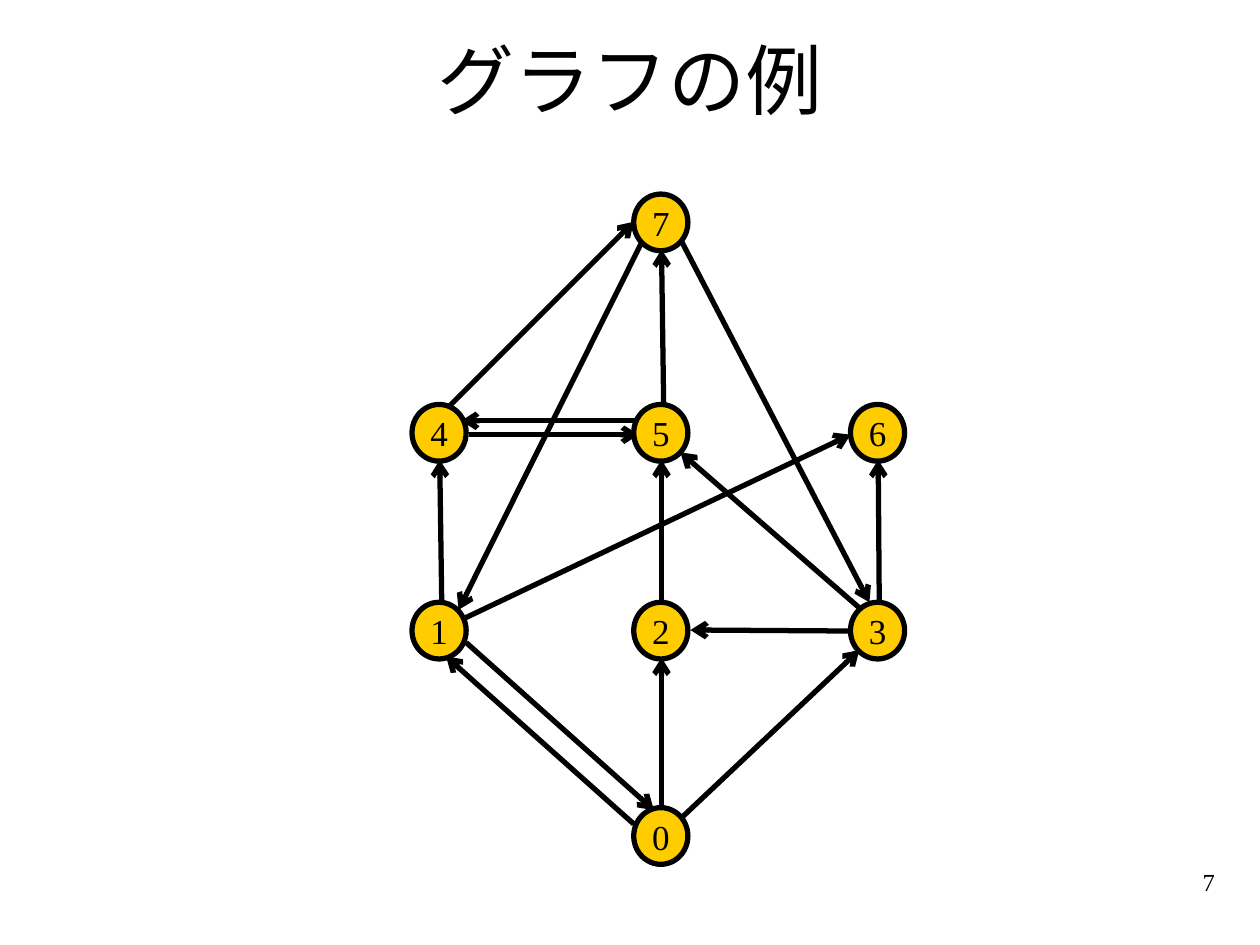
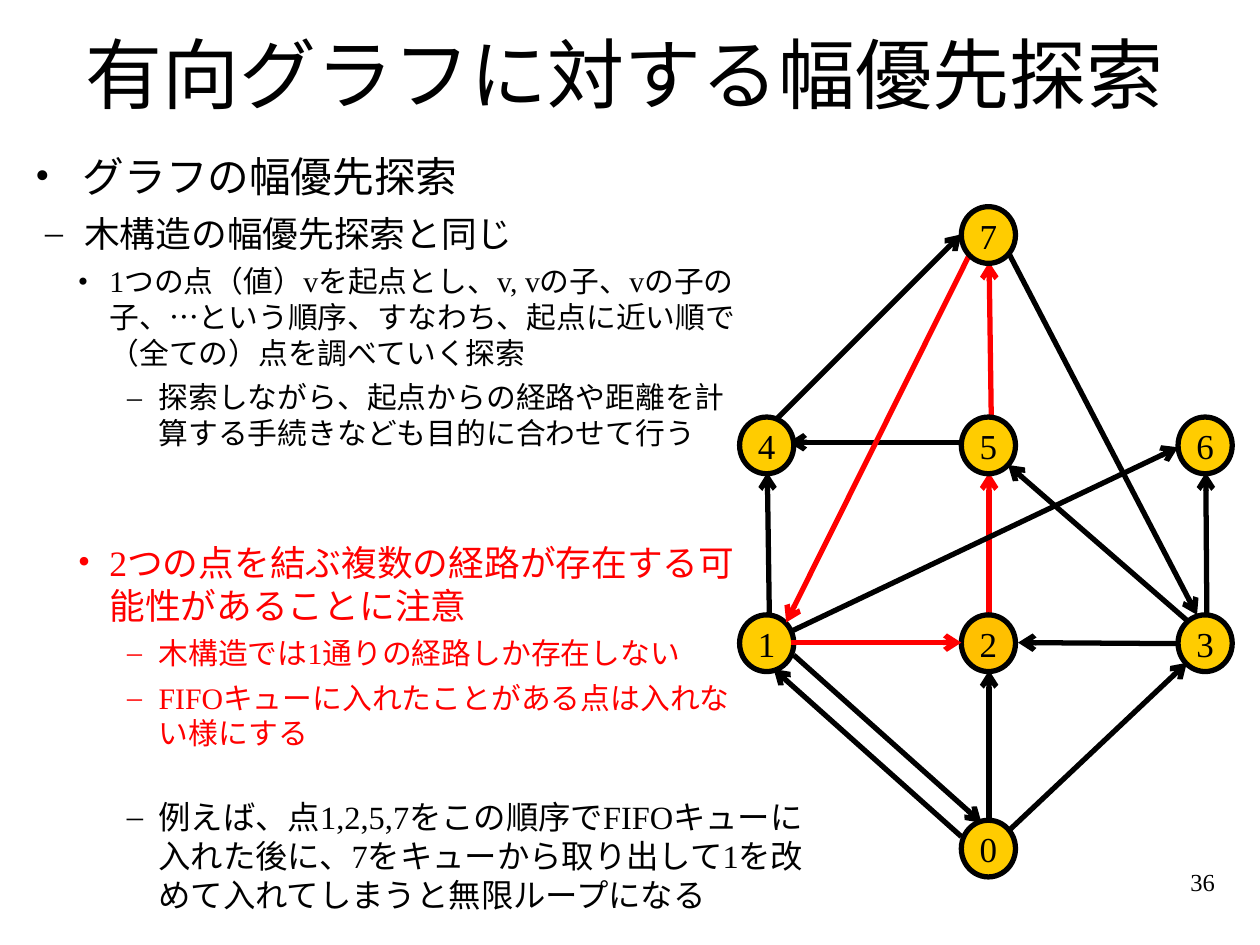
from lxml import etree
from pptx import Presentation
from pptx.dml.color import RGBColor
from pptx.enum.shapes import MSO_CONNECTOR, MSO_SHAPE
from pptx.enum.text import MSO_ANCHOR, PP_ALIGN
from pptx.oxml.ns import qn
from pptx.util import Inches, Pt

STRAIGHT = MSO_CONNECTOR.STRAIGHT
NODE_SHAPE = MSO_SHAPE.FLOWCHART_CONNECTOR
MIDDLE, TOP = MSO_ANCHOR.MIDDLE, MSO_ANCHOR.TOP
LEFT, CENTER, RIGHT = PP_ALIGN.LEFT, PP_ALIGN.CENTER, PP_ALIGN.RIGHT

FONT = "Times New Roman"
COLORS = {
    "text": "000000",
    "edge": "000000",
    "node": "FFCC00",
    "marked_node": "FFC000",
    "highlight": "FF0000",
}
STROKE = Pt(3)
NODE_SIZE = (0.43, 0.45)
COLUMNS = (3.27, 5.03, 6.75)
ROWS = (1.54, 3.21, 4.78, 6.41)
NODES = {
    "2": (1, 2), "0": (1, 3), "3": (2, 2), "1": (0, 2),
    "6": (2, 1), "5": (1, 1), "4": (0, 1), "7": (1, 0),
}

EDGES_BEHIND = {
    "01": ((3.54, 5.21), (5.03, 6.54)),
    "03": ((6.82, 5.16), (5.25, 6.64)),
    "02": ((5.25, 5.22), (5.25, 6.74)),
    "36": ((6.97, 3.65), (6.98, 5)),
    "25": ((5.25, 3.65), (5.25, 5)),
    "14": ((3.49, 3.65), (3.51, 5.06)),
    "54": ((3.66, 3.34), (5.34, 3.34)),
    "57": ((5.25, 1.98), (5.27, 3.39)),
    "32": ((5.48, 5), (7.01, 5.01)),
    "35": ((5.4, 3.59), (6.85, 4.85)),
}
EDGES_UNDER_TOP_NODE = {
    "16": ((6.75, 3.45), (3.68, 4.91)),
    "47": ((5.03, 1.76), (3.56, 3.23)),
    "73": ((6.9, 4.78), (5.37, 1.84)),
    "71": ((3.64, 4.84), (5.09, 1.93)),
}
EDGES_IN_FRONT = {"10": ((5.19, 6.43), (3.7, 5.1))}
EDGE_45 = {"45": ((5.07, 3.45), (3.72, 3.45))}
EDGE_54_ALONE = {"54": ((3.66, 3.41), (5.34, 3.41))}
EDGE_12 = {"12": ((5.03, 5), (3.68, 5))}

LEVELS = {
    0: ("•", 0.38, 0.38),
    1: ("–", 0.39, 0.31),
    2: ("•", 0.59, 0.25),
    3: ("–", 0.98, 0.25),
}
OVERVIEW = [
    (0, 23.8, 7, "グラフの幅優先探索"),
    (1, 20.4, 6, "木構造の幅優先探索と同じ"),
    (2, 17, 5, "1つの点（値）vを起点とし、v, vの子、vの子の子、…という順序、"
               "すなわち、起点に近い順で（全ての）点を調べていく探索"),
    (3, 17, 5, "探索しながら、起点からの経路や距離を計算する手続きなども目的に合わせて行う"),
]
WARNING = [
    (2, 20.4, 0, "2つの点を結ぶ複数の経路が存在する可能性があることに注意"),
    (3, 17, 5, "木構造では1通りの経路しか存在しない"),
    (3, 17, 5, "FIFOキューに入れたことがある点は入れない様にする"),
]
EXAMPLE = [
    (3, 18.5, 5, "例えば、点1,2,5,7をこの順序でFIFOキューに入れた後に、"
                 "7をキューから取り出して1を改めて入れてしまうと無限ループになる"),
]


def rgb(name):
    return RGBColor.from_string(COLORS[name])


def format_paragraph(para, size, color="text", align=LEFT):
    para.alignment = align
    for span in para.runs:
        span.font.name = FONT
        span.font.size = Pt(size)
        span.font.color.rgb = rgb(color)


def add_text_box(slide, place, anchor=TOP):
    frame = slide.shapes.add_textbox(*map(Inches, place)).text_frame
    frame.word_wrap = True
    frame.vertical_anchor = anchor
    return frame


def add_label(slide, place, text, size, align, anchor=TOP):
    frame = add_text_box(slide, place, anchor)
    frame.text = text
    format_paragraph(frame.paragraphs[0], size, align=align)


def add_page(deck, title, title_place, number):
    slide = deck.slides.add_slide(deck.slide_layouts[6])
    add_label(slide, title_place, title, 44, CENTER, MIDDLE)
    add_label(slide, (9.25, 6.83, 0.49, 0.5), number, 14, RIGHT)
    return slide


def set_bullet(para, level, color):
    mark, margin, hanging = LEVELS[level]
    para.level = level
    properties = para._p.get_or_add_pPr()
    properties.set("marL", str(Inches(margin)))
    properties.set("indent", str(-Inches(hanging)))
    bullet_color = etree.SubElement(properties, qn("a:buClr"))
    etree.SubElement(bullet_color, qn("a:srgbClr"), val=COLORS[color])
    etree.SubElement(properties, qn("a:buFont"), typeface=FONT)
    etree.SubElement(properties, qn("a:buChar"), char=mark)


def add_bullets(slide, place, items, color="text", margin_top=0.05):
    frame = add_text_box(slide, place)
    frame.margin_top = Inches(margin_top)
    for index, (level, size, space, text) in enumerate(items):
        para = frame.add_paragraph() if index else frame.paragraphs[0]
        para.text = text
        para.space_before = Pt(space)
        format_paragraph(para, size, color)
        set_bullet(para, level, color)


def add_edges(slide, edges, offset, highlighted):
    shift_x, shift_y = offset
    for name, ((tip_x, tip_y), (start_x, start_y)) in edges.items():
        edge = slide.shapes.add_connector(
            STRAIGHT,
            Inches(tip_x + shift_x), Inches(tip_y + shift_y),
            Inches(start_x + shift_x), Inches(start_y + shift_y))
        edge.line.color.rgb = rgb("highlight" if name in highlighted else "edge")
        edge.line.width = STROKE
        etree.SubElement(edge.line._get_or_add_ln(), qn("a:headEnd"), type="arrow")
        etree.SubElement(edge._element.spPr, qn("a:effectLst"))


def add_node(slide, name, offset, marked):
    column, row = NODES[name]
    place = (COLUMNS[column] + offset[0], ROWS[row] + offset[1], *NODE_SIZE)
    node = slide.shapes.add_shape(NODE_SHAPE, *map(Inches, place))
    node.shadow.inherit = False
    node.fill.solid()
    node.fill.fore_color.rgb = rgb("marked_node" if name in marked else "node")
    node.line.color.rgb = rgb("edge")
    node.line.width = STROKE
    frame = node.text_frame
    frame.word_wrap = False
    frame.vertical_anchor = MIDDLE
    frame.text = name
    format_paragraph(frame.paragraphs[0], 20, align=CENTER)


def add_graph(slide, behind, in_front, offset=(0, 0), highlighted=(), marked=()):
    add_edges(slide, behind, offset, highlighted)
    for name in NODES:
        if name != "7":
            add_node(slide, name, offset, marked)
    add_edges(slide, EDGES_UNDER_TOP_NODE, offset, highlighted)
    add_node(slide, "7", offset, marked)
    add_edges(slide, in_front, offset, highlighted)


def main():
    deck = Presentation()
    deck.slide_width, deck.slide_height = Inches(10), Inches(7.5)

    example = add_page(deck, "グラフの例", (0.75, 0, 8.5, 1.25), "7")
    add_graph(example, EDGE_45 | EDGES_BEHIND, EDGES_IN_FRONT)

    search = add_page(deck, "有向グラフに対する幅優先探索", (0.43, 0, 9.06, 1.15), "36")
    add_graph(search, EDGES_BEHIND | EDGE_54_ALONE, EDGES_IN_FRONT | EDGE_12,
              offset=(2.6, 0.1), highlighted=("12", "25", "57", "71"), marked=("2",))
    add_bullets(search, (0.18, 1.15, 5.78, 3.23), OVERVIEW)
    add_bullets(search, (0.18, 3.69, 5.78, 2.58), WARNING, "highlight", margin_top=0.6)
    add_bullets(search, (0.18, 6.28, 6.47, 1.22), EXAMPLE)

    deck.save("out.pptx")


if __name__ == "__main__":
    main()
